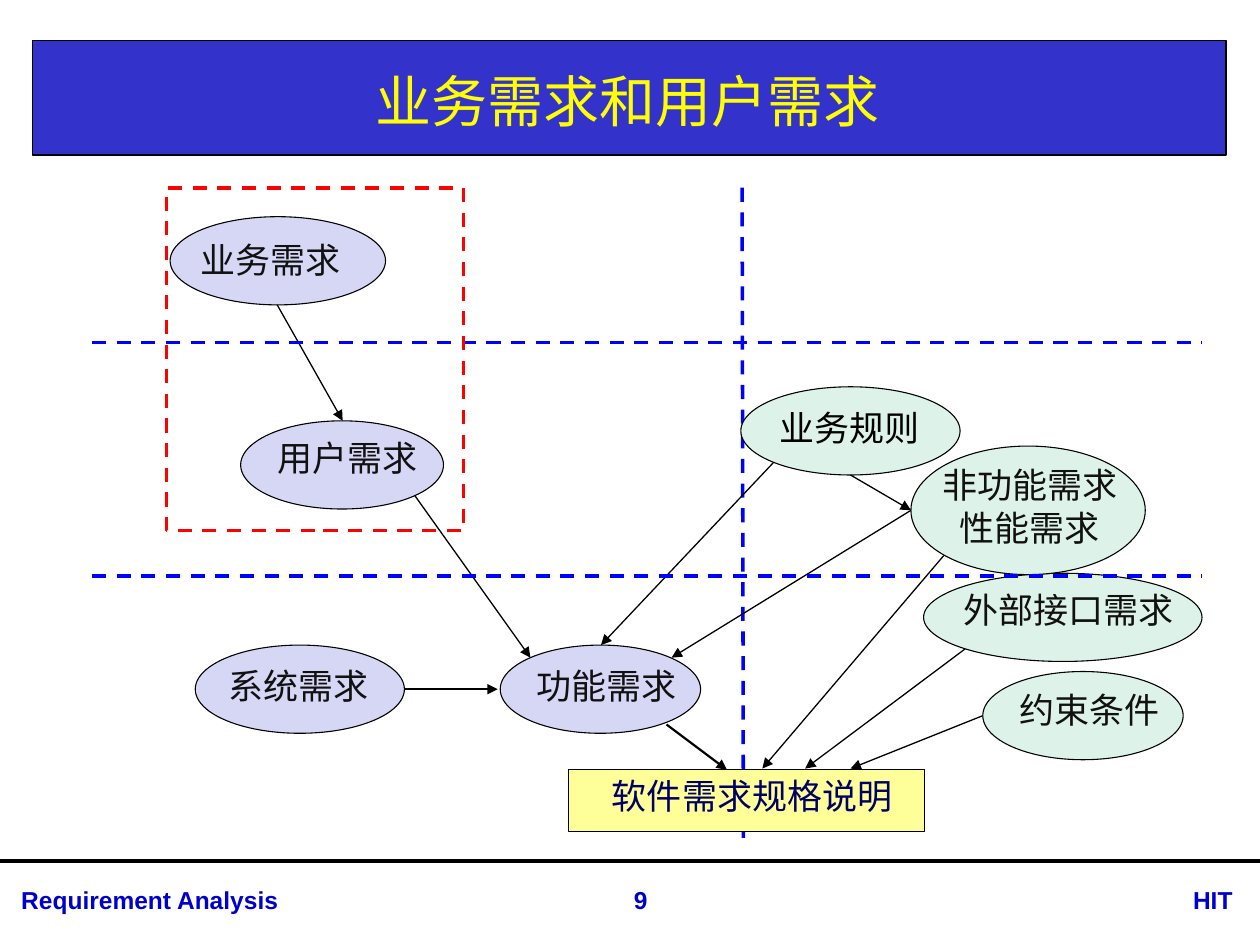
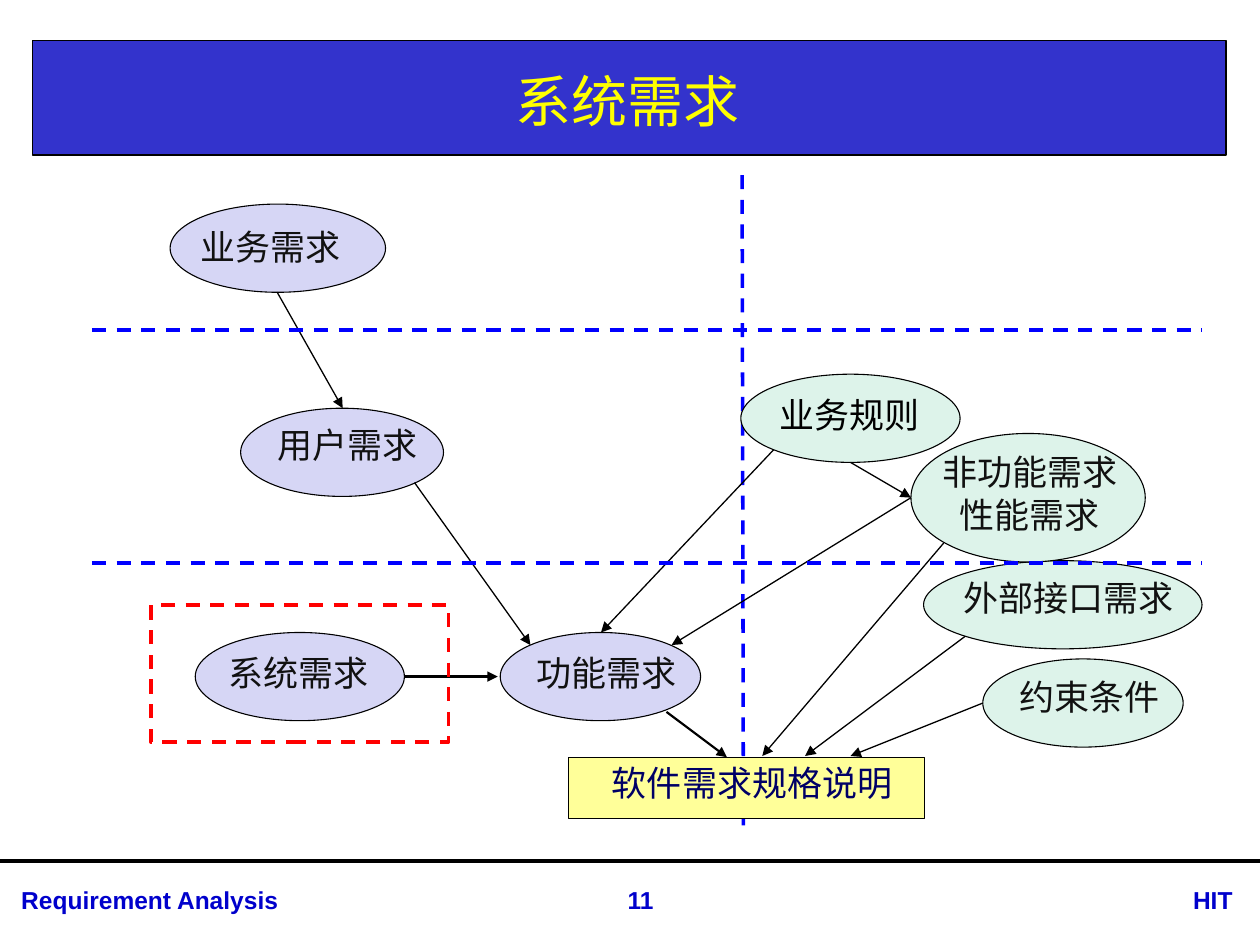
from dataclasses import dataclass

import pptx
import pptx.dml.color
import pptx.enum.dml
import pptx.enum.shapes
import pptx.enum.text
import pptx.oxml.ns
import pptx.oxml.xmlchemy
import pptx.presentation
import pptx.shapes.autoshape
import pptx.shapes.connector
import pptx.slide
import pptx.util
from lxml import etree

Inches = pptx.util.Inches
Pt = pptx.util.Pt
RGBColor = pptx.dml.color.RGBColor
Align = pptx.enum.text.PP_ALIGN
Anchor = pptx.enum.text.MSO_ANCHOR
Shape = pptx.enum.shapes.MSO_SHAPE
Dash = pptx.enum.dml.MSO_LINE
qn = pptx.oxml.ns.qn

BLACK = RGBColor(0x00, 0x00, 0x00)
INK = RGBColor(0x11, 0x11, 0x11)
BAND_BLUE = RGBColor(0x33, 0x33, 0xCC)
TITLE_YELLOW = RGBColor(0xFF, 0xFF, 0x00)
FOOTER_BLUE = RGBColor(0x00, 0x00, 0xCC)
DIVIDER_BLUE = RGBColor(0x00, 0x00, 0xFF)
LAVENDER = RGBColor(0xD6, 0xD6, 0xF5)
MINT = RGBColor(0xDD, 0xF3, 0xEA)
PALE_YELLOW = RGBColor(0xFF, 0xFF, 0x99)
NAVY = RGBColor(0x00, 0x00, 0x66)
RED = RGBColor(0xFF, 0x00, 0x00)

CHINESE_FONT = "Noto Sans CJK SC"
FOOTER_FONT = "Arial"
OUTLINE = 0.63


@dataclass(frozen=True)
class Area:
    left: float
    top: float
    width: float
    height: float

    def raised(self, rise: float) -> "Area":
        return Area(self.left, self.top - rise, self.width, self.height)

    def lengths(self) -> tuple[int, ...]:
        return tuple(Inches(n) for n in (self.left, self.top, self.width, self.height))


@dataclass(frozen=True)
class TextStyle:
    size: float
    color: RGBColor
    font: str = CHINESE_FONT
    bold: bool = False
    align: Align = Align.CENTER
    line_spacing: float | None = None
    inset: tuple[float, float] = (0, 0)


@dataclass(frozen=True)
class Node:
    """A requirement: its outline and the area of its label."""
    area: Area
    fill: RGBColor
    label: tuple[str, ...]
    label_area: Area
    ink: RGBColor = INK
    shape: Shape = Shape.OVAL


@dataclass(frozen=True)
class Line:
    start: tuple[float, float]
    end: tuple[float, float]
    color: RGBColor = BLACK
    weight: float = 0.75
    dashed: bool = False
    arrow: bool = False


@dataclass(frozen=True)
class DiagramPage:
    title: str
    number: int
    rise: float
    highlight: Area


def oval(left: float, top: float, width: float, fill: RGBColor, text: str,
         label: tuple[float, float, float], ink: RGBColor = INK) -> Node:
    """A one-line requirement; label gives left, top and width."""
    return Node(Area(left, top, width, 0.7), fill, (text,), Area(*label, 0.34), ink)


NODES = [
    oval(1.35, 1.72, 1.71, LAVENDER, "业务需求", (1.24, 1.89, 1.82)),
    oval(5.88, 3.07, 1.74, MINT, "业务规则", (5.73, 3.22, 2.03), BLACK),
    oval(3.97, 5.12, 1.59, LAVENDER, "功能需求", (3.74, 5.27, 2.15)),
    oval(1.55, 5.12, 1.66, LAVENDER, "系统需求", (1.3, 5.27, 2.14)),
    Node(Area(4.51, 6.11, 2.83, 0.49), PALE_YELLOW, ("软件需求规格说明",),
         Area(4.28, 6.14, 3.38, 0.34), NAVY, Shape.RECTANGLE),
    oval(7.33, 4.55, 2.21, MINT, "外部接口需求", (7.22, 4.67, 2.52)),
    oval(1.91, 3.34, 1.61, LAVENDER, "用户需求", (1.69, 3.46, 2.14)),
    oval(7.8, 5.33, 1.59, MINT, "约束条件", (7.56, 5.46, 2.18)),
    Node(Area(7.23, 3.54, 1.86, 1.02), MINT, ("非功能需求", "性能需求"),
         Area(6.91, 3.69, 2.53, 0.64)),
]

ARROWS = [
    Line((3.21, 5.47), (3.95, 5.47), weight=1.25, arrow=True),
    Line((5.29, 5.75), (5.77, 6.11), weight=1.25, arrow=True),
    *(Line(start, end, arrow=True) for start, end in [
        ((3.29, 3.93), (4.21, 5.22)),
        ((2.2, 2.42), (2.72, 3.34)),
        ((6.14, 3.67), (4.77, 5.12)),
        ((6.75, 3.77), (7.23, 4.05)),
        ((7.23, 4.05), (5.33, 5.22)),
        ((7.49, 4.41), (6.05, 6.1)),
        ((7.66, 5.15), (6.39, 6.1)),
        ((7.8, 5.68), (6.75, 6.1)),
    ]),
]

COLUMN_DIVIDER = Line((5.89, 1.49), (5.9, 6.65), DIVIDER_BLUE, 2, dashed=True)
LEVEL_DIVIDERS = [Line((0.73, y), (9.54, y), DIVIDER_BLUE, 2, dashed=True)
                  for y in (2.72, 4.57)]
FOOTER_RULE = Line((0, 6.83), (10, 6.83), weight=2.25)

PAGES = [
    DiagramPage("业务需求和用户需求", 9, 0, Area(1.32, 1.49, 2.36, 2.72)),
    DiagramPage("系统需求", 11, 0.1, Area(1.2, 4.8, 2.36, 1.09)),
]


def add_text(page: pptx.slide.Slide, area: Area, lines: tuple[str, ...],
             style: TextStyle) -> None:
    frame = page.shapes.add_textbox(*area.lengths()).text_frame
    frame.word_wrap = True
    frame.vertical_anchor = Anchor.MIDDLE
    frame.margin_left = frame.margin_right = Inches(style.inset[0])
    frame.margin_top = frame.margin_bottom = Inches(style.inset[1])
    frame.text = "\n".join(lines)
    for paragraph in frame.paragraphs:
        paragraph.alignment = style.align
        if style.line_spacing:
            paragraph.line_spacing = Pt(style.line_spacing)
        font = paragraph.font
        font.name = style.font
        font.size = Pt(style.size)
        font.bold = style.bold
        font.color.rgb = style.color
        properties = paragraph._p.find(f"{qn('a:pPr')}/{qn('a:defRPr')}")
        etree.SubElement(properties, qn("a:ea"), typeface=style.font)


def add_outline(page: pptx.slide.Slide, kind: Shape, area: Area, fill: RGBColor | None,
                color: RGBColor, weight: float) -> pptx.shapes.autoshape.Shape:
    shape = page.shapes.add_shape(kind, *area.lengths())
    shape.shadow.inherit = False
    if fill is None:
        shape.fill.background()
    else:
        shape.fill.solid()
        shape.fill.fore_color.rgb = fill
    shape.line.color.rgb = color
    shape.line.width = Pt(weight)
    return shape


def add_line(page: pptx.slide.Slide, line: Line, rise: float = 0) -> None:
    (x1, y1), (x2, y2) = line.start, line.end
    connector = page.shapes.add_connector(
        pptx.enum.shapes.MSO_CONNECTOR.STRAIGHT,
        Inches(x1), Inches(y1 - rise), Inches(x2), Inches(y2 - rise))
    connector.line.color.rgb = line.color
    connector.line.width = Pt(line.weight)
    if line.dashed:
        connector.line.dash_style = Dash.DASH
    if line.arrow:
        etree.SubElement(connector.line._get_or_add_ln(), qn("a:tailEnd"), type="triangle")
    etree.SubElement(connector._element.spPr, qn("a:effectLst"))


def add_node(page: pptx.slide.Slide, node: Node, rise: float) -> None:
    add_outline(page, node.shape, node.area.raised(rise), node.fill, BLACK, OUTLINE)
    spacing = 24.6 if len(node.label) > 1 else None
    add_text(page, node.label_area.raised(rise), node.label,
             TextStyle(20, node.ink, line_spacing=spacing))


def add_frame(page: pptx.slide.Slide, title: str, number: int) -> None:
    """Draw the title band and footer that every page carries."""
    add_outline(page, Shape.RECTANGLE, Area(0.26, 0.32, 9.47, 0.91), BAND_BLUE, BLACK, 0.75)
    add_text(page, Area(0.26, 0.36, 9.45, 0.87), (title,), TextStyle(32, TITLE_YELLOW))
    add_line(page, FOOTER_RULE)
    for text, left, width, align in [
        ("Requirement Analysis", 0.07, 2.91, Align.LEFT),
        ("HIT", 9.37, 0.69, Align.LEFT),
        (str(number), 4.57, 1.03, Align.CENTER),
    ]:
        add_text(page, Area(left, 6.97, width, 0.34), (text,),
                 TextStyle(14, FOOTER_BLUE, FOOTER_FONT, True, align, inset=(0.1, 0.05)))


def add_diagram_page(deck: pptx.presentation.Presentation, content: DiagramPage) -> None:
    page = deck.slides.add_slide(deck.slide_layouts[6])
    add_frame(page, content.title, content.number)
    add_line(page, COLUMN_DIVIDER, content.rise)
    for node in NODES:
        add_node(page, node, content.rise)
    for line in ARROWS + LEVEL_DIVIDERS:
        add_line(page, line, content.rise)
    highlight = add_outline(page, Shape.RECTANGLE, content.highlight, None, RED, 2)
    highlight.line.dash_style = Dash.SQUARE_DOT
    highlight.line.dash_style = Dash.DASH


def main() -> None:
    deck = pptx.Presentation()
    deck.slide_width = Inches(10)
    deck.slide_height = Inches(7.5)
    for content in PAGES:
        add_diagram_page(deck, content)
    deck.save("out.pptx")


if __name__ == "__main__":
    main()
